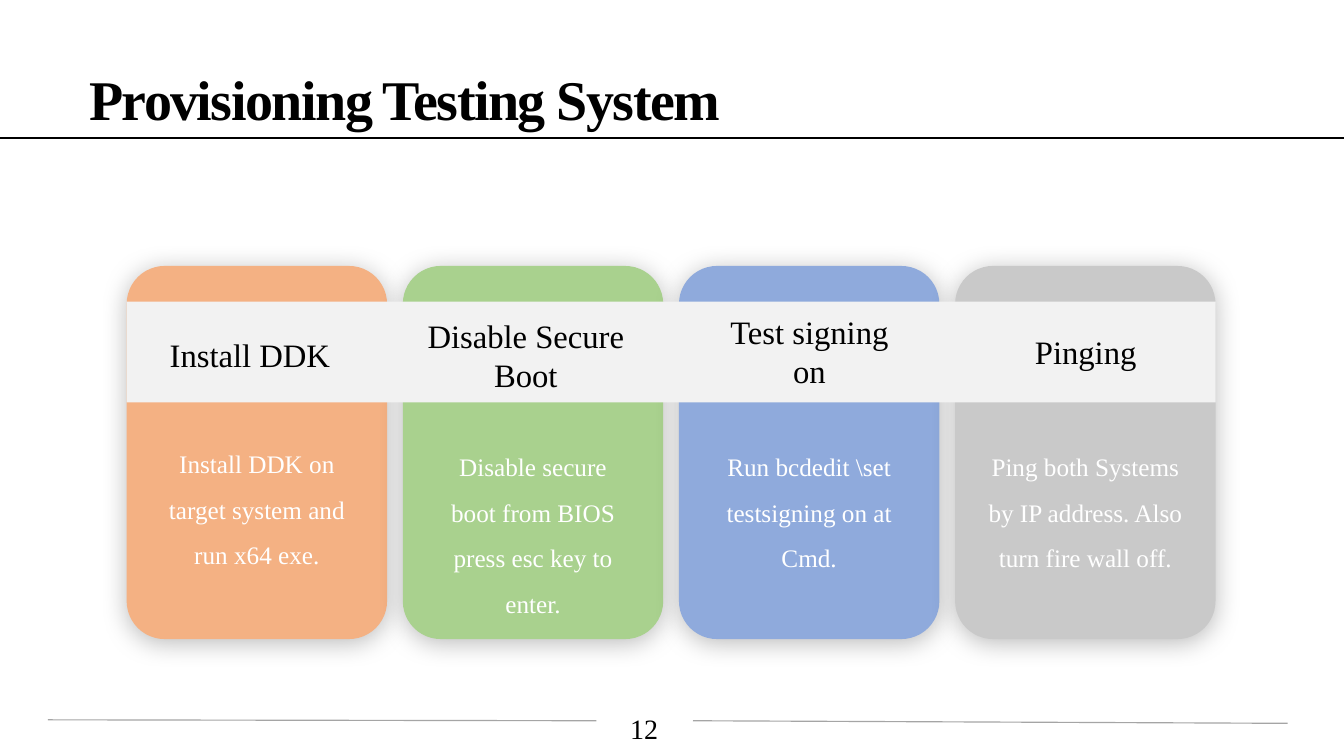
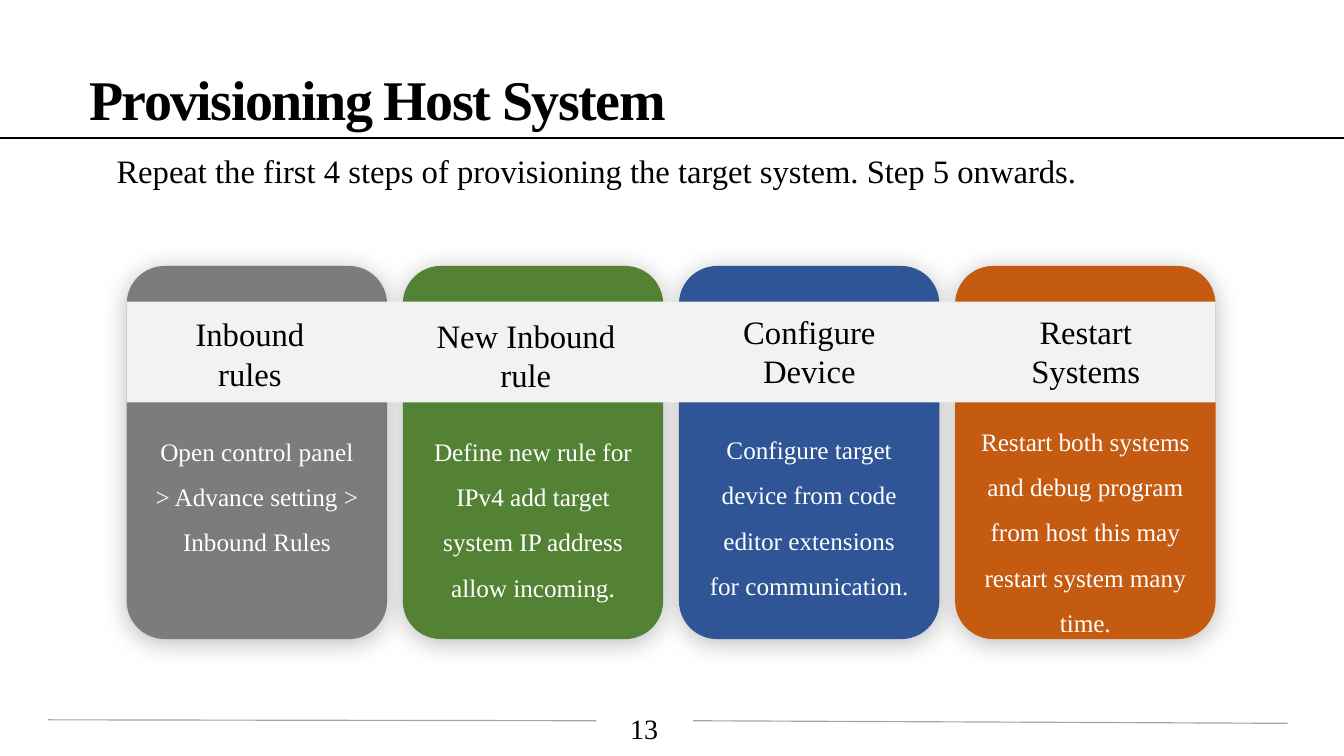
import pptx
import pptx.util
import pptx.dml.color
import pptx.enum.shapes
import pptx.enum.text
import pptx.oxml.ns
import lxml.etree

Pt = pptx.util.Pt
color = pptx.dml.color.RGBColor.from_string
Shape = pptx.enum.shapes.MSO_SHAPE
Align = pptx.enum.text.PP_ALIGN
qn = pptx.oxml.ns.qn

FONT = "Times New Roman"
BLACK, WHITE, GRAY, BAND = "000000", "FFFFFF", "A5A5A5", "F2F2F2"
CARD_LEFT, CARD_TOP, CARD_WIDTH, CARD_HEIGHT = 108.6, 228, 223.2, 319.8
CARD_STEP = 236.7
BODY_LINE = 38.9
# Centre and width of each heading on the band
HEADINGS = [(214.2, 166.3), (450.7, 193), (693.7, 166.3), (930.6, 166.3)]


def write(shapes, text, left, top, width, height, size, ink=BLACK, align=Align.CENTER):
    box = shapes.add_textbox(Pt(left), Pt(top), Pt(width), Pt(height))
    frame = box.text_frame
    frame.word_wrap = True
    frame.margin_left = frame.margin_right = Pt(8.64)
    frame.margin_top = frame.margin_bottom = Pt(4.32)
    para = frame.paragraphs[0]
    para.add_run().text = text
    para.alignment = align
    para.font.name = FONT
    para.font.size = Pt(size)
    para.font.color.rgb = color(ink)
    return para


def draw_line(shapes, x1, y1, x2, y2, ink, weight):
    line = shapes.add_connector(pptx.enum.shapes.MSO_CONNECTOR.STRAIGHT,
                                Pt(x1), Pt(y1), Pt(x2), Pt(y2))
    line.line.color.rgb = color(ink)
    line.line.width = Pt(weight)
    lxml.etree.SubElement(line._element.spPr, qn("a:effectLst"))


# Cards: fill, heading, heading top, body, body top, body width, body lines
slides = [
    ("Provisioning Testing System", "12", None, [
        ("F4B183", "Install DDK", 283, "Install DDK on target system and run x64 exe.",
         367.2, 194.4, 3),
        ("A9D18E", "Disable Secure Boot", 266.4,
         "Disable secure boot from BIOS press esc key to enter.", 370, 187.2, 3),
        ("8FAADC", "Test signing on", 262.8, "Run bcdedit \\set testsigning on at Cmd.",
         370, 192.2, 3),
        ("C9C9C9", "Pinging", 280, "Ping both Systems by IP address. Also turn fire wall off.",
         370, 188.6, 3),
    ]),
    ("Provisioning Host System", "13",
     "Repeat the first 4 steps of provisioning the target system. Step 5 onwards.", [
        ("7C7C7C", "Inbound rules", 265, "Open control panel > Advance setting > Inbound Rules",
         356.4, 194.4, 3),
        ("548235", "New Inbound rule", 266.4,
         "Define new rule for IPv4 add target system IP address allow incoming.",
         356.4, 205.2, 4),
        ("2F5597", "Configure Device", 262.8,
         "Configure target device from code editor extensions for communication.",
         355, 192.2, 4),
        ("C55A11", "Restart Systems", 262.8,
         "Restart both systems and debug program from host this may restart system many time.",
         347.8, 206, 5),
     ]),
]

deck = pptx.Presentation()
deck.slide_width, deck.slide_height = Pt(1152), Pt(648)

for title, number, subtitle, cards in slides:
    page = deck.slides.add_slide(deck.slide_layouts[6])

    # Title and rule
    para = write(page.shapes, title, 67.7, 54, 873.4, 108.7, 48, align=Align.LEFT)
    para.font.bold = True
    para.line_spacing = Pt(54.4)
    para.runs[0]._r.get_or_add_rPr().set("spc", "-130")
    draw_line(page.shapes, 0, 118, 1152, 118, BLACK, 1.5)
    if subtitle:
        write(page.shapes, subtitle, 72, 125.3, 878.4, 41, 28)

    # Cards with soft shadows
    for index, (fill, *_) in enumerate(cards):
        card = page.shapes.add_shape(Shape.ROUNDED_RECTANGLE, Pt(CARD_LEFT + index * CARD_STEP),
                                     Pt(CARD_TOP), Pt(CARD_WIDTH), Pt(CARD_HEIGHT))
        card.adjustments[0] = 0.146
        card.fill.solid()
        card.fill.fore_color.rgb = color(fill)
        card.line.fill.background()
        card.shadow.inherit = False
        effects = card._element.spPr.find(qn("a:effectLst"))
        shadow = lxml.etree.SubElement(effects, qn("a:outerShdw"), blurRad=str(Pt(22)),
                                       dist=str(Pt(3)), dir="5400000", rotWithShape="0")
        tint = lxml.etree.SubElement(shadow, qn("a:srgbClr"), val=BLACK)
        lxml.etree.SubElement(tint, qn("a:alpha"), val="25000")

    # Band across the cards
    band = page.shapes.add_shape(Shape.RECTANGLE, Pt(CARD_LEFT), Pt(258.6),
                                 Pt(3 * CARD_STEP + CARD_WIDTH), Pt(86.4))
    band.fill.solid()
    band.fill.fore_color.rgb = color(BAND)
    band.line.fill.background()
    band.shadow.inherit = False

    # Headings and body text
    for index, (fill, heading, heading_top, body, body_top, body_width, lines) in enumerate(cards):
        center, width = HEADINGS[index]
        write(page.shapes, heading, center - width / 2, heading_top, width,
              2 * (345 - heading_top) - 86.4 if heading_top < 270 else 41, 28)
        body_left = CARD_LEFT + index * CARD_STEP + (CARD_WIDTH - body_width) / 2
        para = write(page.shapes, body, body_left, body_top, body_width,
                     lines * BODY_LINE + 8.64, 21.6, WHITE)
        para.line_spacing = 1.5

    # Footer
    footer = page.shapes.add_group_shape()
    write(footer.shapes, number, 522.7, 605.5, 59, 31, 24)
    draw_line(footer.shapes, 41, 617, 511.2, 617.8, GRAY, 1)
    draw_line(footer.shapes, 594, 617.8, 1103.8, 620, GRAY, 1)

deck.save("out.pptx")
